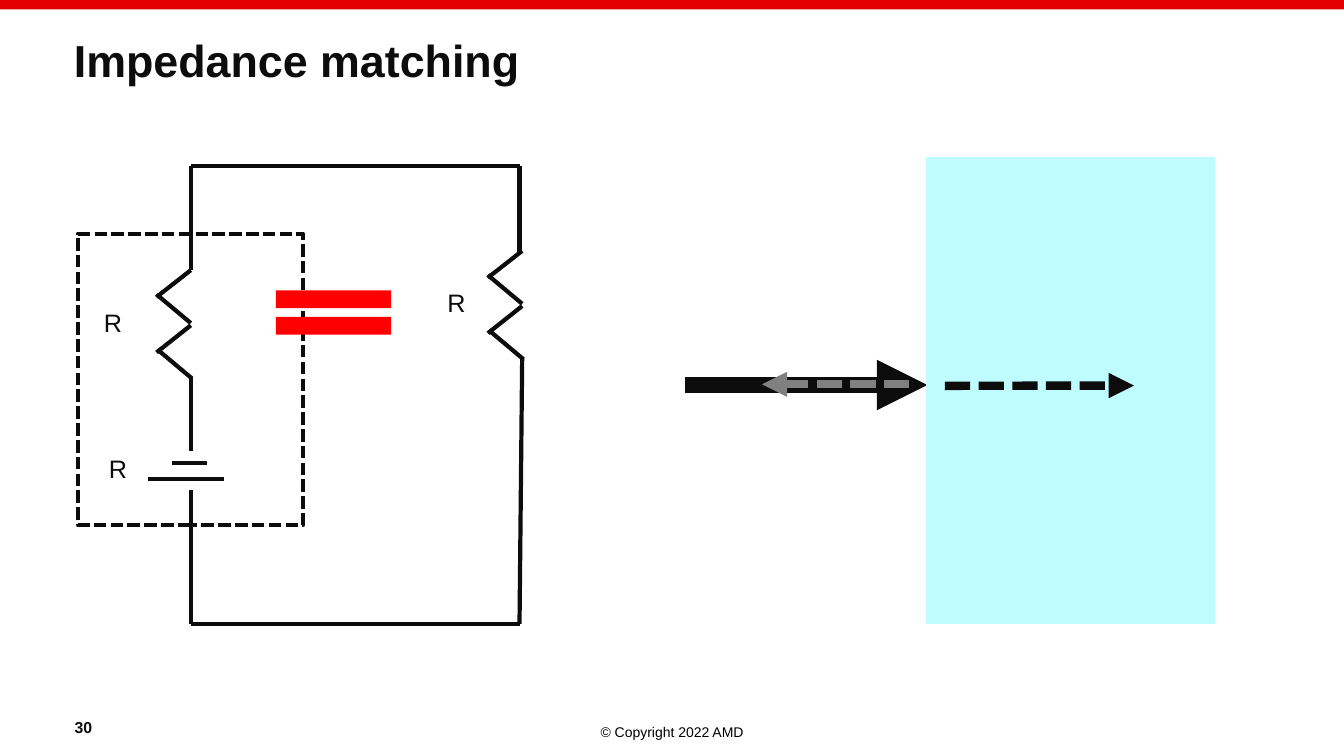
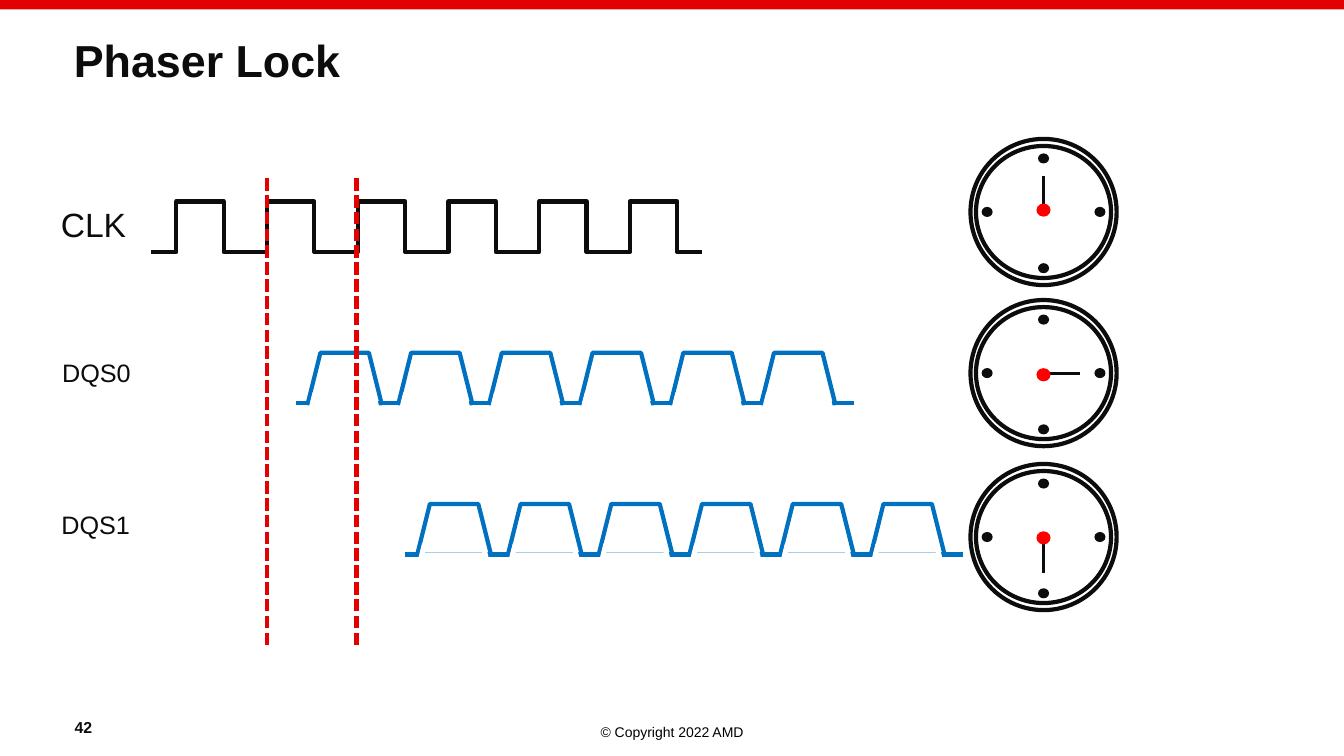
from lxml.etree import SubElement
from pptx import Presentation
from pptx.dml.color import RGBColor
from pptx.enum.dml import MSO_LINE
from pptx.enum.shapes import MSO_CONNECTOR as LINK, MSO_SHAPE as SHAPE
from pptx.enum.text import MSO_ANCHOR as ANCHOR, PP_ALIGN as ALIGN
from pptx.oxml.ns import qn
from pptx.util import Pt

INK = RGBColor(0x0C, 0x0C, 0x0C)
BLACK = RGBColor(0x00, 0x00, 0x00)
WHITE = RGBColor(0xFF, 0xFF, 0xFF)
BAND = RGBColor(0xE2, 0x00, 0x00)
RED = RGBColor(0xFF, 0x00, 0x00)
GRAY = RGBColor(0x80, 0x80, 0x80)
CYAN = RGBColor(0xBE, 0xFC, 0xFF)
BLUE = RGBColor(0x00, 0x70, 0xC0)
FONT = "Arial"
WIDTH, HEIGHT = 960, 540
PERIOD, PULSES, SWING = 64.8, 6, 36


class Deck:
    def __init__(self):
        self.prs = Presentation()
        self.prs.slide_width, self.prs.slide_height = Pt(WIDTH), Pt(HEIGHT)
        self.s = None

    def slide(self, title, number):
        self.s = self.prs.slides.add_slide(self.prs.slide_layouts[6])
        self.shape(SHAPE.RECTANGLE, 0, 0, WIDTH, 6.7, BAND)
        self.text("© Copyright 2022 AMD", 0, 513, WIDTH, 19.4, 10,
                  color=BLACK, align=ALIGN.CENTER)
        self.text(title, 45.7, 23.8, 869, 46, 32, bold=True, spacing=0.9)
        self.text(number, 46.3, 501, 77, 28.8, 11.3, bold=True, anchor=ANCHOR.BOTTOM)

    def text(self, text, x, y, w, h, size, color=INK, bold=False,
             align=ALIGN.LEFT, anchor=ANCHOR.TOP, spacing=1.0):
        tf = self.s.shapes.add_textbox(Pt(x), Pt(y), Pt(w), Pt(h)).text_frame
        tf.word_wrap = True
        tf.vertical_anchor = anchor
        tf.text = text
        p = tf.paragraphs[0]
        p.alignment, p.line_spacing = align, spacing
        font = p.runs[0].font
        font.name, font.size, font.bold = FONT, Pt(size), bold
        font.color.rgb = color

    def stroke(self, line, color, width, dashed=False):
        line.color.rgb = color
        line.width = Pt(width)
        if dashed:
            line.dash_style = MSO_LINE.SQUARE_DOT

    def shape(self, kind, x, y, w, h, fill=None, line=None, width=3,
              dashed=False, rotation=0):
        sp = self.s.shapes.add_shape(kind, Pt(x), Pt(y), Pt(w), Pt(h))
        sp.shadow.inherit = False
        sp.rotation = rotation
        if fill is None:
            sp.fill.background()
        else:
            sp.fill.solid()
            sp.fill.fore_color.rgb = fill
        if line is None:
            sp.line.fill.background()
        else:
            self.stroke(sp.line, line, width, dashed)

    def oval(self, cx, cy, w, h, fill, line=None):
        self.shape(SHAPE.FLOWCHART_CONNECTOR, cx - w / 2, cy - h / 2, w, h, fill, line)

    def line(self, x1, y1, x2, y2, color=INK, width=3, dashed=False,
             arrow=False, kind=LINK.STRAIGHT):
        c = self.s.shapes.add_connector(kind, Pt(x1), Pt(y1), Pt(x2), Pt(y2))
        self.stroke(c.line, color, width, dashed)
        if arrow:
            SubElement(c.line._get_or_add_ln(), qn("a:tailEnd"), type="triangle")
        SubElement(c._element.spPr, qn("a:effectLst"))

    def resistor(self, x, y):
        for x1, y1, x2, y2 in ((0, 0, -24.5, 19.2), (-24.5, 17.3, 0, 37.8),
                               (0, 39.4, -24.5, 58.8), (-23.8, 56.7, 0.9, 77.4)):
            self.line(x + x1, y + y1, x + x2, y + y2)

    def square_wave(self, x, base):
        top = base - SWING
        for i in range(PULSES):
            peak = x + SWING + PERIOD * i
            self.line(peak - 2.2, top, peak - 2.2 + SWING, base, kind=LINK.ELBOW)
            self.line(peak, top, peak - SWING, base, kind=LINK.ELBOW)

    def strobe_wave(self, x, base):
        for i in range(PULSES):
            left = x + PERIOD * i
            self.line(left, base, left + 74.6, base, BLUE)
            self.shape(SHAPE.TRAPEZOID, left + 8.8, base - SWING, 52.6, SWING, line=BLUE)
            for dx, w, h, rotation in ((10.6, 48.3, 10, 0), (4.1, 15.8, 3.6, 104),
                                       (49.5, 15.8, 3.6, 255.5)):
                self.shape(SHAPE.RECTANGLE, left + dx, base - 1.5, w, h, WHITE,
                           rotation=rotation)

    def clock(self, cx, cy, dx, dy, hub_shift):
        self.oval(cx, cy, 104.4, 104.4, WHITE, INK)
        self.oval(cx, cy, 96.5, 94.3, WHITE, INK)
        for mx, my in ((0, -38.2), (40.3, 0), (0, 40.2), (-40.3, 0)):
            self.oval(cx + mx, cy + my, 7.9, 7.2, INK)
        self.line(cx, cy, cx + 26 * dx, cy + 26 * dy, width=2.25)
        self.oval(cx, cy + hub_shift, 10.1, 9.4, RED)


def impedance_slide(d):
    d.slide("Impedance matching", "30")
    d.shape(SHAPE.RECTANGLE, 55.6, 167, 161, 208, WHITE, INK, dashed=True)

    left, right, top, bottom = 136.3, 371.1, 118.8, 445.7
    wires = [(left, top, right, top), (left, bottom, right, bottom),
             (left, 167, left, top), (left, 167, left, 193),
             (left, 270, left, 322), (left, 375, left, 350),
             (left, 375, left, bottom), (right, top, right, 180),
             (right, bottom, right + 1.9, 256)]
    battery = [(105.8, 342, 160.2, 342), (123, 330.5, 148, 330.5)]
    for ends in wires + battery:
        d.line(*ends)
    d.resistor(left, 193)
    d.resistor(right + 1.9, 179.2)
    for x, y in ((312.5, 201.8), (67.1, 216), (70.7, 320.4)):
        d.text("R", x, y, 36, 28.8, 18)

    d.line(489, 275, 662.4, 275, width=12, arrow=True)
    d.shape(SHAPE.RECTANGLE, 662, 112.6, 205.4, 332.8, CYAN, CYAN, 1)
    d.line(675, 275.6, 810, 275.4, width=6, dashed=True, arrow=True)
    d.line(649.5, 274.5, 544.3, 274.5, GRAY, 6, dashed=True, arrow=True)
    d.shape(SHAPE.MATH_EQUAL, 182.2, 196.2, 112, 54, RED)


def phaser_slide(d):
    d.slide("Phaser Lock", "42")
    d.square_wave(108, 180)
    d.strobe_wave(211.1, 288)
    d.strobe_wave(289.3, 396)
    for name, x, y, w, size in (("CLK", 36.3, 141.8, 361, 24),
                                ("DQS0", 37.3, 252, 67, 18),
                                ("DQS1", 36.8, 360, 67, 18)):
        d.text(name, x, y, w, 1.6 * size, size)
    for x in (190.7, 254.7):
        d.line(x, 460.8, x, 126, BAND, dashed=True)
    for cy, dx, dy, hub_shift in ((151.4, 0, -1, -1.3), (266.5, 1, 0, 1.2),
                                  (383.6, 0, 1, 0.6)):
        d.clock(745.4, cy, dx, dy, hub_shift)


def main():
    d = Deck()
    impedance_slide(d)
    phaser_slide(d)
    d.prs.save("out.pptx")


if __name__ == "__main__":
    main()
